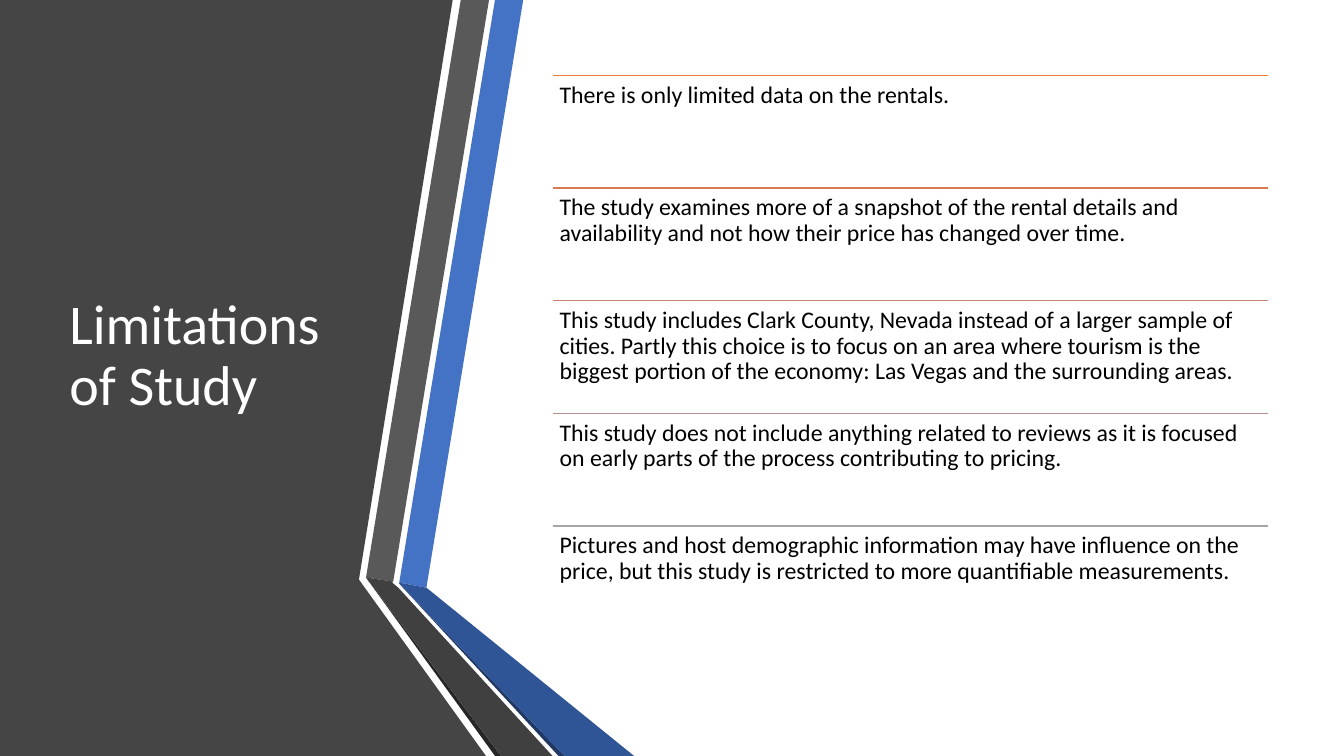
"""Build the slide on the limits of the study."""
from dataclasses import dataclass

from lxml.etree import SubElement
from pptx import Presentation
from pptx.dml.color import RGBColor
from pptx.enum.shapes import MSO_CONNECTOR as Link
from pptx.enum.text import MSO_ANCHOR as Anchor
from pptx.oxml.ns import qn
from pptx.slide import Slide
from pptx.util import Inches, Pt

WHITE = RGBColor(0xFF, 0xFF, 0xFF)
BLACK = RGBColor(0x00, 0x00, 0x00)
COAL = RGBColor(0x45, 0x45, 0x45)
BLUE = RGBColor(0x44, 0x72, 0xC4)
GRAY = RGBColor(0x59, 0x59, 0x59)
INK = RGBColor(0x26, 0x26, 0x26)
NAVY = RGBColor(0x20, 0x38, 0x64)
DENIM = RGBColor(0x2F, 0x55, 0x97)
SLATE = RGBColor(0x40, 0x40, 0x40)
ORANGE = RGBColor(0xED, 0x7D, 0x31)
COPPER = RGBColor(0xD8, 0x7A, 0x51)
CLAY = RGBColor(0xC4, 0x81, 0x70)
DUST = RGBColor(0xB4, 0x90, 0x8B)
SILVER = RGBColor(0xA5, 0xA5, 0xA5)

FONT = "Calibri"
WIDE, HIGH = 13.33, 7.5
LEFT, TOP, SPAN, STEP = 5.48, 0.75, 7.1, 1.117
SIDES = ("margin_left", "margin_top", "margin_right", "margin_bottom")


@dataclass(frozen=True)
class Band:
    """A filled outline, with its corners in inches."""
    color: RGBColor
    points: tuple[tuple[float, float], ...]


@dataclass(frozen=True)
class Limit:
    """One limit of the study and the colour of its rule."""
    color: RGBColor
    text: str


@dataclass(frozen=True)
class Box:
    """The place of a text box in inches."""
    left: float
    top: float
    width: float
    height: float


BANDS = (
    Band(COAL, ((0, 0), (4.49, 0), (3.56, 5.75), (4.82, HIGH), (0, HIGH))),
    Band(BLUE, ((3.96, 5.78), (4.23, 5.83), (5.19, 0), (4.91, 0))),
    Band(GRAY, ((4.85, 0), (4.57, 0), (3.63, 5.73), (3.9, 5.77))),
    Band(INK, ((3.63, 5.73), (4.91, HIGH), (4.97, HIGH))),
    Band(NAVY, ((3.96, 5.79), (5.54, HIGH), (5.6, HIGH))),
    Band(DENIM, ((3.96, 5.79), (5.6, HIGH), (6.29, HIGH), (4.23, 5.83),
                 (3.96, 5.78))),
    Band(SLATE, ((5.48, HIGH), (3.95, 5.83), (3.89, 5.78), (3.9, 5.77),
                 (3.63, 5.73), (4.97, HIGH))),
)

LIMITS = (
    Limit(ORANGE, "There is only limited data on the rentals."),
    Limit(COPPER, "The study examines more of a snapshot of the rental details "
                  "and availability and not how their price has changed over "
                  "time."),
    Limit(CLAY, "This study includes Clark County, Nevada instead of a larger "
                "sample of cities. Partly this choice is to focus on an area "
                "where tourism is the biggest portion of the economy: Las "
                "Vegas and the surrounding areas."),
    Limit(DUST, "This study does not include anything related to reviews as it "
                "is focused on early parts of the process contributing to "
                "pricing."),
    Limit(SILVER, "Pictures and host demographic information may have "
                  "influence on the price, but this study is restricted to "
                  "more quantifiable measurements."),
)

TITLE = {
    "frame": {"word_wrap": True, "vertical_anchor": Anchor.MIDDLE},
    "para": {"line_spacing": 0.9},
    "font": {"name": FONT, "size": Pt(40)},
}
BODY = {
    "frame": {"word_wrap": True, "vertical_anchor": Anchor.TOP,
              **dict.fromkeys(SIDES, Inches(0.07))},
    "para": {"line_spacing": 0.9, "space_after": Pt(6)},
    "font": {"name": FONT, "size": Pt(17)},
}


def draw_band(slide: Slide, band: Band) -> None:
    """Draw one closed band with no outline."""
    start, *rest = [(Inches(x), Inches(y)) for x, y in band.points]
    pen = slide.shapes.build_freeform(*start)
    pen.add_line_segments(rest, close=True)
    shape = pen.convert_to_shape()
    shape.shadow.inherit = False
    shape.fill.solid()
    shape.fill.fore_color.rgb = band.color
    shape.line.fill.background()


def draw_text(slide: Slide, box: Box, text: str, color: RGBColor,
              style: dict[str, dict]) -> None:
    """Write text in a box with the given style."""
    area = map(Inches, (box.left, box.top, box.width, box.height))
    frame = slide.shapes.add_textbox(*area).text_frame
    para = frame.paragraphs[0]
    run = para.add_run()
    run.text = text
    run.font.color.rgb = color
    parts = {"frame": frame, "para": para, "font": run.font}
    for part, values in style.items():
        for name, value in values.items():
            setattr(parts[part], name, value)


def draw_limit(slide: Slide, limit: Limit, top: float) -> None:
    """Draw a rule with its text below."""
    ends = map(Inches, (LEFT, top, LEFT + SPAN, top))
    rule = slide.shapes.add_connector(Link.STRAIGHT, *ends)
    rule.line.color.rgb = limit.color
    rule.line.width = Pt(1)
    SubElement(rule._element.spPr, qn("a:effectLst"))
    draw_text(slide, Box(LEFT, top, SPAN, STEP), limit.text, BLACK, BODY)


def main() -> None:
    """Build and save the deck."""
    deck = Presentation()
    deck.slide_width, deck.slide_height = Inches(WIDE), Inches(HIGH)
    slide = deck.slides.add_slide(deck.slide_layouts[6])
    for band in BANDS:
        draw_band(slide, band)
    draw_text(slide, Box(0.59, 0.75, 3.04, 5.58), "Limitations of Study",
              WHITE, TITLE)
    for row, limit in enumerate(LIMITS):
        draw_limit(slide, limit, TOP + row * STEP)
    deck.save("out.pptx")


main()
